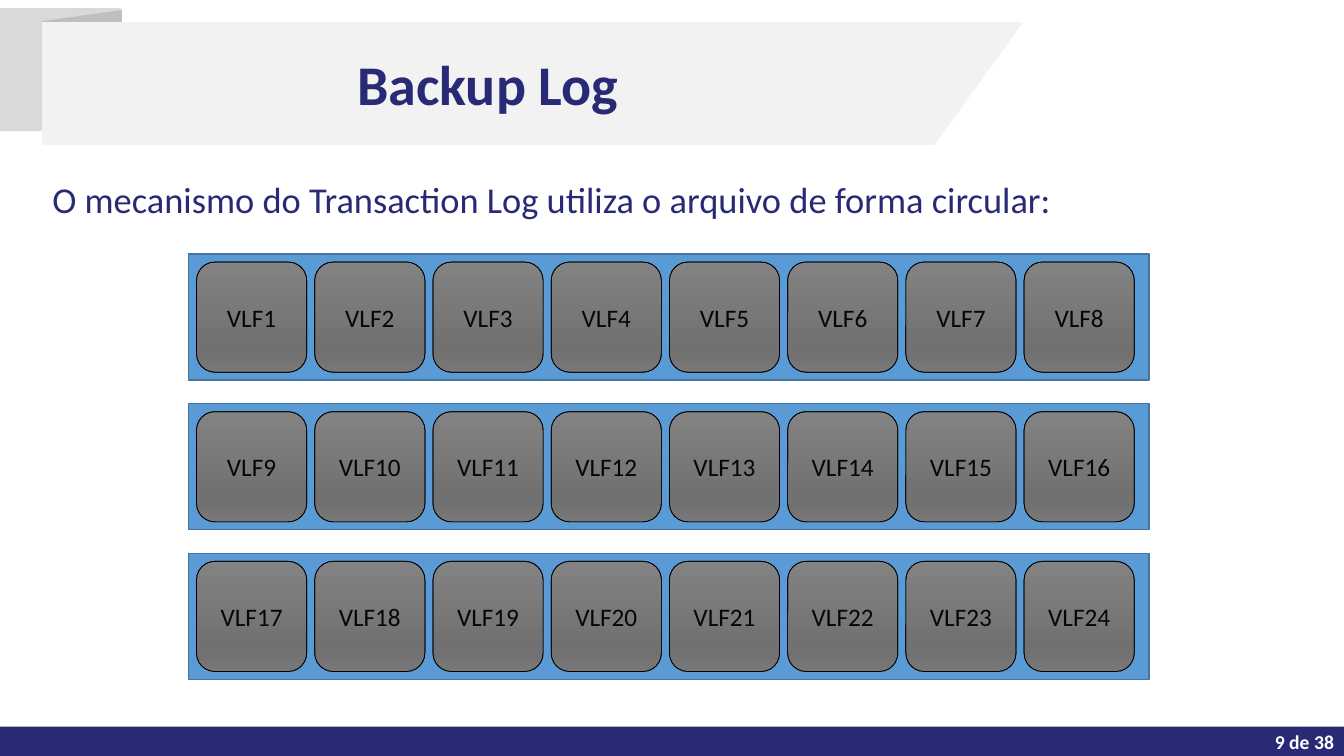
from lxml.etree import SubElement
from pptx import Presentation
from pptx.dml.color import RGBColor
from pptx.enum.shapes import MSO_SHAPE as Shape
from pptx.enum.text import MSO_ANCHOR as Anchor, MSO_AUTO_SIZE as AutoSize, PP_ALIGN as Align
from pptx.oxml.ns import qn
from pptx.util import Pt

COLORS = {
    "navy": "292A76", "white": "FFFFFF", "black": "000000",
    "back": "D9D9D9", "fold": "BFBFBF", "banner": "F2F2F2",
    "file": "5B9BD5", "file_line": "43739E", "shade": "0D0D0D",
}
TILE_STOPS = [(0, "FAFAFA"), (74, "D7D7D7"), (83, "D7D7D7"), (100, "E4E4E4")]


def paint(shape, fill=None, line=None, width=1):
    """Remove the shadow, then set a solid fill and an outline where given."""
    shape.shadow.inherit = False
    if fill:
        shape.fill.solid()
        shape.fill.fore_color.rgb = RGBColor.from_string(COLORS[fill])
    if line:
        shape.line.color.rgb = RGBColor.from_string(COLORS[line])
        shape.line.width = Pt(width)
    else:
        shape.line.fill.background()


def write(shape, text, size, color, align, anchor=Anchor.MIDDLE, bold=False):
    """Put one formatted run in the shape and return its paragraph."""
    frame = shape.text_frame
    frame.word_wrap = True
    frame.auto_size = AutoSize.NONE
    frame.vertical_anchor = anchor
    paragraph = frame.paragraphs[0]
    paragraph.alignment = align
    run = paragraph.add_run()
    run.text = text
    run.font.name = "Calibri"
    run.font.size = Pt(size)
    run.font.bold = bold
    run.font.color.rgb = RGBColor.from_string(COLORS[color])
    return paragraph


presentation = Presentation()
presentation.slide_width, presentation.slide_height = Pt(960), Pt(540)
slide = presentation.slides.add_slide(presentation.slide_layouts[1])
shapes = slide.shapes
title, body = slide.placeholders

# Footer bar and title banner
footer = shapes.add_shape(Shape.RECTANGLE, Pt(0), Pt(519), Pt(960), Pt(21))
paint(footer, "navy")
back = shapes.add_shape(Shape.RECTANGLE, Pt(0), Pt(5.8), Pt(86.4), Pt(88))
paint(back, "back")
outlines = {
    "fold": [(30.2, 15.1), (87.1, 7.2), (87.8, 102.2), (31.7, 102.2)],
    "banner": [(30.2, 15.8), (730.8, 15.8), (667.4, 103.7), (30.2, 103.7)],
}
for color, points in outlines.items():
    start, *rest = [(Pt(x), Pt(y)) for x, y in points]
    builder = shapes.build_freeform(*start, scale=1.0)
    builder.add_line_segments(rest, close=True)
    paint(builder.convert_to_shape(), color)

# Title, in front of the banner
title.element.getparent().append(title.element)
title.left, title.top, title.width, title.height = Pt(30.2), Pt(28.8), Pt(636.5), Pt(60.5)
write(title, "Backup Log", 40, "navy", Align.CENTER, bold=True)

# Log files, each a row of VLF tiles under a translucent shade
ROWS, COLUMNS = 3, 8
FILE_LEFT, FILE_TOP, FILE_PITCH = 134.6, 181.4, 106.9
TILE_SIZE, TILE_PITCH, TILE_INSET = 78.7, 84.45, 5.8
for row in range(ROWS):
    top = FILE_TOP + row * FILE_PITCH
    log_file = shapes.add_shape(Shape.RECTANGLE, Pt(FILE_LEFT), Pt(top), Pt(686.2), Pt(90))
    paint(log_file, "file", "file_line")
    for column in range(COLUMNS):
        left = FILE_LEFT + TILE_INSET + column * TILE_PITCH
        box = Pt(left), Pt(top + TILE_INSET), Pt(TILE_SIZE), Pt(TILE_SIZE)

        tile = shapes.add_shape(Shape.ROUNDED_RECTANGLE, *box)
        paint(tile, line="black", width=0.5)
        tile.fill.gradient()
        tile.fill.gradient_angle = 270
        stop_list = tile.element.spPr.find(".//" + qn("a:gsLst"))
        stop_list.clear()
        for position, color in TILE_STOPS:
            stop = SubElement(stop_list, qn("a:gs"), pos=str(position * 1000))
            SubElement(stop, qn("a:srgbClr"), val=color)
        write(tile, f"VLF{row * COLUMNS + column + 1}", 18, "black", Align.CENTER)

        shade = shapes.add_shape(Shape.ROUNDED_RECTANGLE, *box)
        paint(shade, "shade", "black", 0.5)
        shade_color = shade.element.spPr.find(qn("a:solidFill") + "/" + qn("a:srgbClr"))
        SubElement(shade_color, qn("a:alpha"), val="50000")

# Statement above the files
body.left, body.top, body.width, body.height = Pt(30.2), Pt(107.3), Pt(744.5), Pt(49.7)
statement = write(body, "O mecanismo do Transaction Log utiliza o arquivo de forma circular:",
                  26, "navy", Align.LEFT, Anchor.TOP)
properties = statement._p.get_or_add_pPr()
properties.set("marL", "0")
properties.set("indent", "0")
SubElement(properties, qn("a:buNone"))
statement.line_spacing = 1.5
statement.space_before = Pt(0)

# Page number
page = shapes.add_textbox(Pt(825), Pt(519.8), Pt(135), Pt(20.2))
write(page, "9 de 38", 14, "white", Align.RIGHT, bold=True)

presentation.save("out.pptx")
